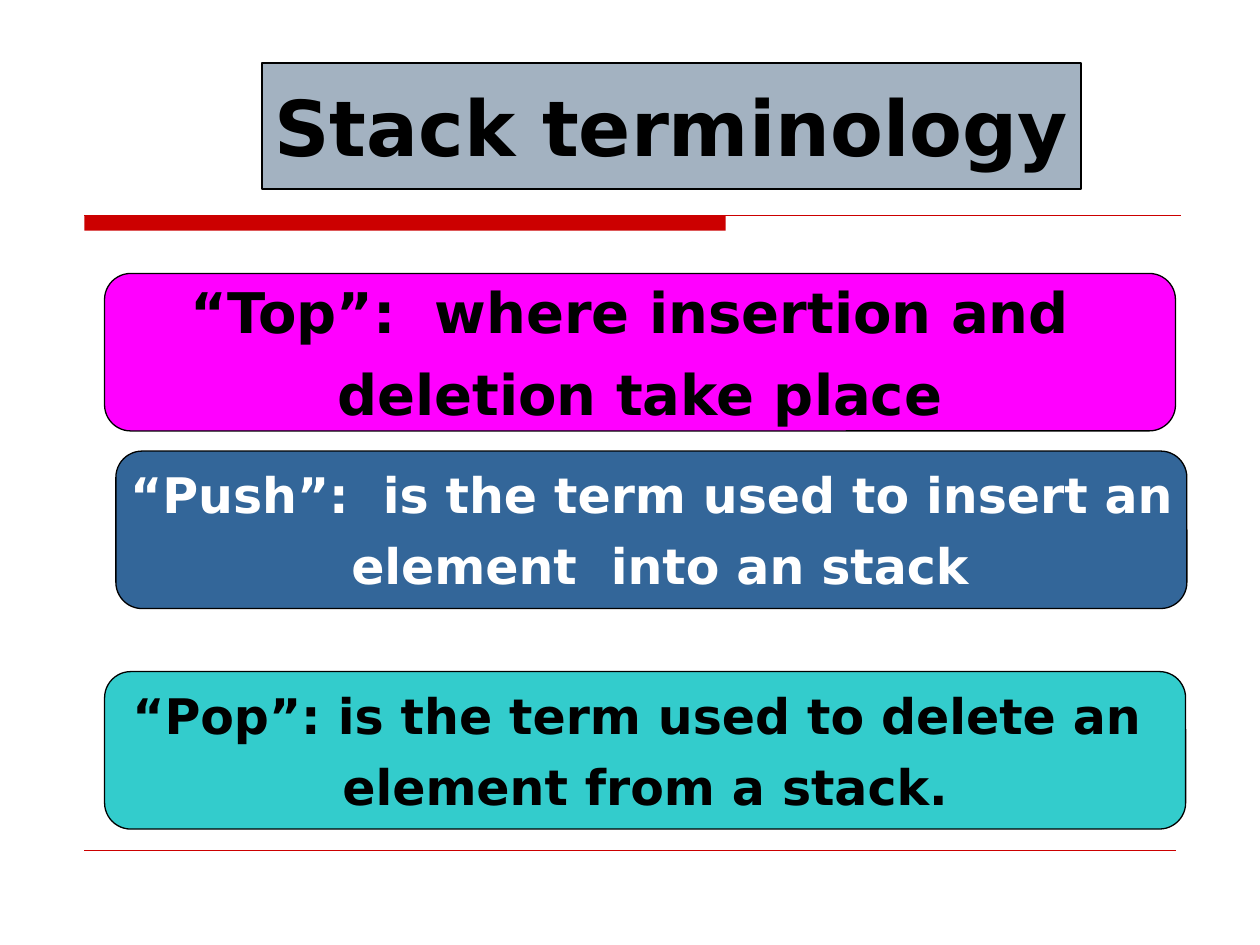
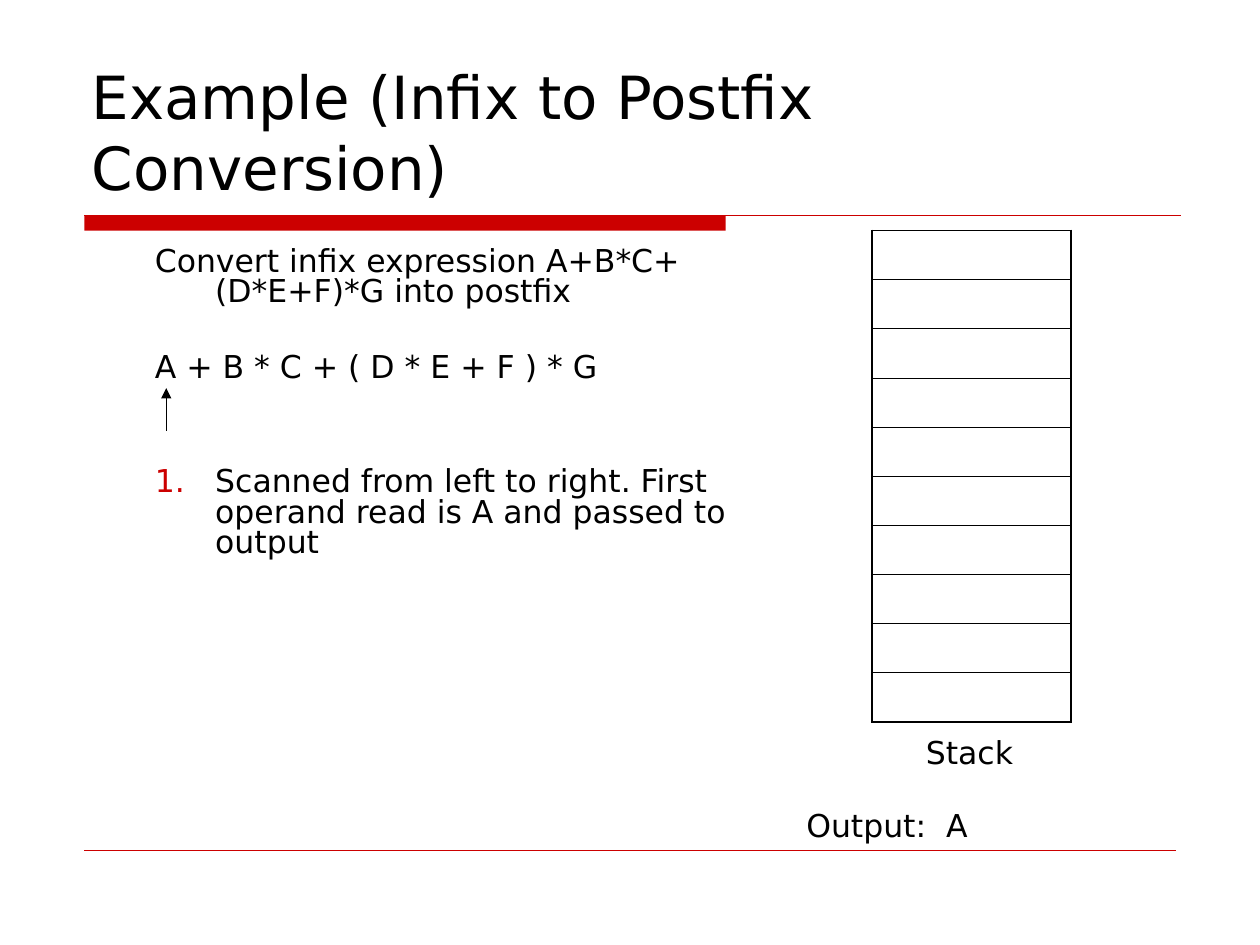
"""Build two slides on stack terminology and infix to postfix conversion."""
from dataclasses import dataclass
from typing import Any

from lxml import etree
from pptx import Presentation
from pptx.dml.color import RGBColor
from pptx.enum import shapes, text
from pptx.oxml import ns
from pptx.util import Inches, Pt

FONT = "DejaVu Sans"
BLACK, WHITE, RED, GREY = "000000", "FFFFFF", "CC0000", "A3B2C1"
CENTER, LEFT = text.PP_ALIGN.CENTER, text.PP_ALIGN.LEFT
TITLE_ONLY = 5
STACK_ROWS, ROW_HEIGHT = 10, 0.39
OUTER_BORDER, INNER_BORDER = 1.08, 0.45


@dataclass
class Box:
    left: float
    top: float
    width: float
    height: float


@dataclass
class TextStyle:
    size: float
    bold: bool = False
    color: str = BLACK
    align: Any = LEFT
    gap: float = 0


@dataclass
class TermCard:
    box: Box
    fill: str
    lines: list[str]
    style: TextStyle


@dataclass
class Step:
    words: str
    gap: float = 0
    numbered: bool = False


CARDS = [
    TermCard(Box(0.83, 2.17, 8.5, 1.25), "FF00FF",
             ["“Top”:  where insertion and ", "deletion take place"],
             TextStyle(32, True, BLACK, CENTER, 8)),
    TermCard(Box(0.92, 3.58, 8.5, 1.25), "336699",
             ["“Push”:  is the term used to insert an", " element  into an stack"],
             TextStyle(28, True, WHITE, CENTER, 7)),
    TermCard(Box(0.83, 5.33, 8.58, 1.25), "33CCCC",
             ["“Pop”: is the term used to delete an ", "element from a stack."],
             TextStyle(28, True, BLACK, CENTER, 7)),
]
STEPS = [
    Step("Convert infix expression A+B*C+(D*E+F)*G into postfix"),
    Step("A + B * C + ( D * E + F ) * G", 26.2),
    Step("Scanned from left to right. First operand read is A and passed to output", 47.9, True),
]


def rgb(color: str) -> RGBColor:
    """Turn a hex string into a colour."""
    return RGBColor.from_string(color)


def set_all(target: Any, values: dict[str, Any]) -> None:
    """Set every attribute named in the values."""
    for name, value in values.items():
        setattr(target, name, value)


def add_xml(parent: Any, tag: str, **attributes: str) -> Any:
    """Append one DrawingML element."""
    return etree.SubElement(parent, ns.qn(tag), attributes)


def place(box: Box) -> list[int]:
    """Convert a box to lengths."""
    return [Inches(value) for value in (box.left, box.top, box.width, box.height)]


def paint(shape: Any, fill: str, outline: bool = True) -> None:
    """Give a shape a solid fill and a thin black outline or none."""
    shape.fill.solid()
    shape.fill.fore_color.rgb = rgb(fill)
    if outline:
        shape.line.color.rgb = rgb(BLACK)
        shape.line.width = Pt(0.75)
    else:
        shape.line.fill.background()


def style_paragraph(paragraph: Any, style: TextStyle) -> None:
    """Apply a text style to a paragraph."""
    paragraph.alignment = style.align
    set_all(paragraph.font, {"name": FONT, "size": Pt(style.size), "bold": style.bold})
    paragraph.font.color.rgb = rgb(style.color)


def write(shape: Any, lines: list[str], style: TextStyle, anchor: Any, wrap: bool = True) -> None:
    """Fill a shape with one paragraph a line."""
    frame = shape.text_frame
    set_all(frame, {"auto_size": text.MSO_AUTO_SIZE.NONE, "word_wrap": wrap,
                    "vertical_anchor": anchor})
    frame.text = "\n".join(lines)
    for index, paragraph in enumerate(frame.paragraphs):
        style_paragraph(paragraph, style)
        paragraph.space_before = Pt(style.gap if index else 0)


def add_line(slide: Any, start: tuple[float, float], end: tuple[float, float],
             color: str, width: float, arrow: bool = False) -> None:
    """Draw a straight line with an optional arrowhead at its end."""
    line = slide.shapes.add_connector(
        shapes.MSO_CONNECTOR.STRAIGHT, *[Inches(value) for value in (*start, *end)])
    line.line.color.rgb = rgb(color)
    line.line.width = Pt(width)
    if arrow:
        add_xml(line.line._get_or_add_ln(), "a:tailEnd", type="triangle")
    add_xml(line._element.spPr, "a:effectLst")


def add_slide(presentation: Any, title: str, box: Box, style: TextStyle, anchor: Any) -> Any:
    """Add a slide with its title, header band and footer rule."""
    slide = presentation.slides.add_slide(presentation.slide_layouts[TITLE_ONLY])
    band = slide.shapes.add_shape(shapes.MSO_SHAPE.RECTANGLE, *place(Box(0.67, 1.71, 5.09, 0.12)))
    band.shadow.inherit = False
    paint(band, RED, outline=False)
    add_line(slide, (0.67, 1.71), (9.37, 1.71), RED, 1)
    add_line(slide, (0.67, 6.75), (9.33, 6.75), RED, 0.25)
    heading = slide.shapes.title
    set_all(heading, dict(zip(("left", "top", "width", "height"), place(box))))
    write(heading, [title], style, anchor)
    return slide


def add_card(slide: Any, card: TermCard) -> None:
    """Draw one rounded card that explains a term."""
    shape = slide.shapes.add_shape(shapes.MSO_SHAPE.ROUNDED_RECTANGLE, *place(card.box))
    shape.shadow.inherit = False
    paint(shape, card.fill)
    write(shape, card.lines, card.style, text.MSO_ANCHOR.MIDDLE, wrap=False)


def add_label(slide: Any, words: str, box: Box, align: Any = LEFT) -> None:
    """Add a one-line label."""
    label = slide.shapes.add_textbox(*place(box))
    write(label, [words], TextStyle(18, align=align), text.MSO_ANCHOR.TOP)


def add_steps(slide: Any, steps: list[Step], box: Box) -> None:
    """Write the conversion steps with hanging indents."""
    frame = slide.shapes.add_textbox(*place(box)).text_frame
    frame.word_wrap = True
    for index, step in enumerate(steps):
        paragraph = frame.add_paragraph() if index else frame.paragraphs[0]
        paragraph.text = step.words
        properties = paragraph._p.get_or_add_pPr()
        indents = {"marL": Inches(0.99), "indent": Inches(-0.48)}
        for name, value in indents.items():
            properties.set(name, str(int(value)))
        if step.numbered:
            add_xml(add_xml(properties, "a:buClr"), "a:srgbClr", val=RED)
            add_xml(properties, "a:buAutoNum", type="arabicPeriod")
        else:
            add_xml(properties, "a:buNone")
        style_paragraph(paragraph, TextStyle(18))
        set_all(paragraph, {"line_spacing": 0.8, "space_before": Pt(step.gap)})


def add_border(cell: Any, side: str, width: float) -> None:
    """Draw one black cell border."""
    border = add_xml(cell._tc.get_or_add_tcPr(), f"a:ln{side}", w=str(int(Pt(width))))
    add_xml(add_xml(border, "a:solidFill"), "a:srgbClr", val=BLACK)


def add_stack(slide: Any, left: float, top: float, width: float) -> None:
    """Draw the empty stack as a one-column table."""
    box = Box(left, top, width, STACK_ROWS * ROW_HEIGHT)
    table = slide.shapes.add_table(STACK_ROWS, 1, *place(box)).table
    set_all(table, {"first_row": False, "horz_banding": False})
    for index, row in enumerate(table.rows):
        row.height = Inches(ROW_HEIGHT)
        cell = row.cells[0]
        set_all(cell, {"margin_top": 0, "margin_bottom": 0})
        borders = {
            "L": OUTER_BORDER,
            "R": OUTER_BORDER,
            "T": INNER_BORDER if index else OUTER_BORDER,
            "B": INNER_BORDER if index < STACK_ROWS - 1 else OUTER_BORDER,
        }
        for side, border_width in borders.items():
            add_border(cell, side, border_width)
        cell.fill.background()


def build_terminology(presentation: Any) -> None:
    """Build the slide that explains the stack terms."""
    slide = add_slide(presentation, "Stack terminology", Box(2.08, 0.5, 6.5, 1),
                      TextStyle(44, True, BLACK, CENTER), text.MSO_ANCHOR.MIDDLE)
    heading = slide.shapes.title
    paint(heading, GREY)
    set_all(heading.text_frame, {"margin_left": 0, "margin_right": 0})
    for card in CARDS:
        add_card(slide, card)


def build_conversion(presentation: Any) -> None:
    """Build the slide with the first conversion step."""
    slide = add_slide(presentation, "Example (Infix to Postfix Conversion)",
                      Box(0.63, 0.33, 8.75, 1.33), TextStyle(34), text.MSO_ANCHOR.BOTTOM)
    add_steps(slide, STEPS, Box(0.62, 1.92, 5.46, 3.92))
    add_stack(slide, 6.92, 1.83, 1.58)
    add_label(slide, "Stack", Box(7.25, 5.77, 0.92, 0.4))
    add_label(slide, "Output:  A", Box(4.58, 6.35, 4.92, 0.4), CENTER)
    add_line(slide, (1.32, 3.42), (1.32, 3.08), BLACK, 0.75, arrow=True)


def main() -> None:
    """Build and save the presentation."""
    presentation = Presentation()
    set_all(presentation, {"slide_width": Inches(10), "slide_height": Inches(7.5)})
    build_terminology(presentation)
    build_conversion(presentation)
    presentation.save("out.pptx")


if __name__ == "__main__":
    main()
